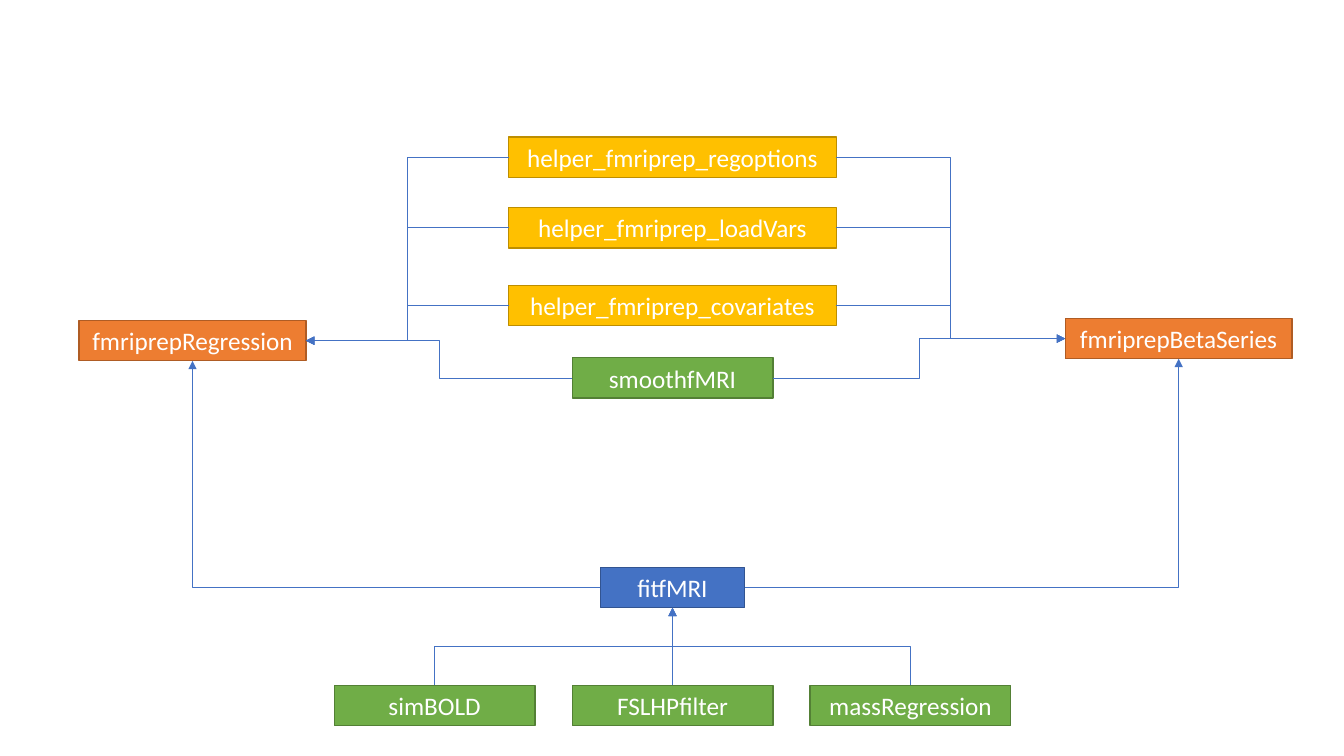
from lxml import etree
from pptx import Presentation
from pptx.dml.color import RGBColor
from pptx.enum.dml import MSO_LINE
from pptx.enum.shapes import MSO_CONNECTOR, MSO_SHAPE
from pptx.enum.text import MSO_ANCHOR, PP_ALIGN
from pptx.oxml.ns import qn
from pptx.util import Inches, Pt

RECT = MSO_SHAPE.RECTANGLE
ELBOW = MSO_CONNECTOR.ELBOW
SOLID = MSO_LINE.SOLID
MIDDLE = MSO_ANCHOR.MIDDLE
CENTER = PP_ALIGN.CENTER
TOP, LEFT, BOTTOM, RIGHT = range(4)  # connection sites of a rectangle

COLORS = {"text": "FFFFFF", "arrow": "4472C4"}

# Content: role -> fill, outline, box width
ROLES = {
    "core": ("4472C4", "325491", 1.43),
    "main": ("ED7D31", "AF5C24", 2.25),
    "helper": ("FFC000", "BD8E00", 3.25),
    "tool": ("70AD47", "538035", 1.99),
}
MID_X, TOOL_STEP, BOX_HEIGHT = 6.67, 2.36, 0.4
TOOL_TOP = 6.8

# Function name, role, centre x, top
FUNCTIONS = [
    ("fitfMRI", "core", MID_X, 5.63),
    ("fmriprepRegression", "main", 1.91, 3.18),
    ("fmriprepBetaSeries", "main", 11.69, 3.16),
    ("helper_fmriprep_covariates", "helper", MID_X, 2.83),
    ("helper_fmriprep_loadVars", "helper", MID_X, 2.06),
    ("helper_fmriprep_regoptions", "helper", MID_X, 1.36),
    ("FSLHPfilter", "tool", MID_X, TOOL_TOP),
    ("massRegression", "tool", MID_X + TOOL_STEP, TOOL_TOP),
    ("simBOLD", "tool", MID_X - TOOL_STEP, TOOL_TOP),
    ("smoothfMRI", "tool", MID_X, 3.55),
]
FIT_TOOLS = ["simBOLD", "FSLHPfilter", "massRegression"]
SHARED = [name for name, role, *_ in FUNCTIONS if role == "helper"] + ["smoothfMRI"]
# Main function, side its callees leave from, side it receives them on
MAINS = [("fmriprepRegression", LEFT, RIGHT), ("fmriprepBetaSeries", RIGHT, LEFT)]

prs = Presentation()
prs.slide_width, prs.slide_height = Inches(13.33), Inches(7.5)
slide = prs.slides.add_slide(prs.slide_layouts[6])


def rgb(hex_color):
    return RGBColor.from_string(hex_color)


def add_function(name, role, center_x, top):
    fill, outline, width = ROLES[role]
    box = slide.shapes.add_shape(RECT, Inches(center_x - width / 2), Inches(top),
                                 Inches(width), Inches(BOX_HEIGHT))
    box.shadow.inherit = False
    box.fill.solid()
    box.fill.fore_color.rgb = rgb(fill)
    box.line.color.rgb = rgb(outline)
    box.line.width = Pt(1)
    box.text_frame.vertical_anchor = MIDDLE
    label = box.text_frame.paragraphs[0]
    label.text = name
    label.alignment = CENTER
    label.font.name = "Calibri"
    label.font.size = Pt(18)
    label.font.color.rgb = rgb(COLORS["text"])
    return box


def add_arrow(source, source_site, target, target_site):
    arrow = slide.shapes.add_connector(ELBOW, 0, 0, 0, 0)
    arrow.begin_connect(boxes[source], source_site)
    arrow.end_connect(boxes[target], target_site)
    arrow.line.dash_style = SOLID
    arrow.line.color.rgb = rgb(COLORS["arrow"])
    arrow.line.width = Pt(0.5)
    properties = arrow._element.spPr
    etree.SubElement(properties.find(qn("a:ln")), qn("a:tailEnd"), type="triangle")
    etree.SubElement(properties, qn("a:effectLst"))
    return arrow


def set_upward(arrow):
    """Turn the elbow so that it leaves and arrives vertically."""
    run, rise = arrow.end_x - arrow.begin_x, arrow.begin_y - arrow.end_y
    mid_x = (arrow.begin_x + arrow.end_x) // 2
    mid_y = (arrow.begin_y + arrow.end_y) // 2
    arrow.begin_x, arrow.end_x = mid_x - rise // 2, mid_x + rise // 2
    arrow.begin_y, arrow.end_y = mid_y - run // 2, mid_y + run // 2
    arrow._element.spPr.find(qn("a:xfrm")).set("rot", str(270 * 60000))


# Function boxes
boxes = {name: add_function(name, role, center_x, top)
         for name, role, center_x, top in FUNCTIONS}

# Tools feeding the fit
for tool in FIT_TOOLS:
    set_upward(add_arrow(tool, TOP, "fitfMRI", BOTTOM))

# Shared functions and the fit feeding both main functions
for main, leave, arrive in MAINS:
    for shared in SHARED:
        add_arrow(shared, leave, main, arrive)
    fit_arrow = add_arrow("fitfMRI", leave, main, BOTTOM)
    fit_arrow._element.spPr.find(qn("a:prstGeom")).set("prst", "bentConnector2")

prs.save("out.pptx")
